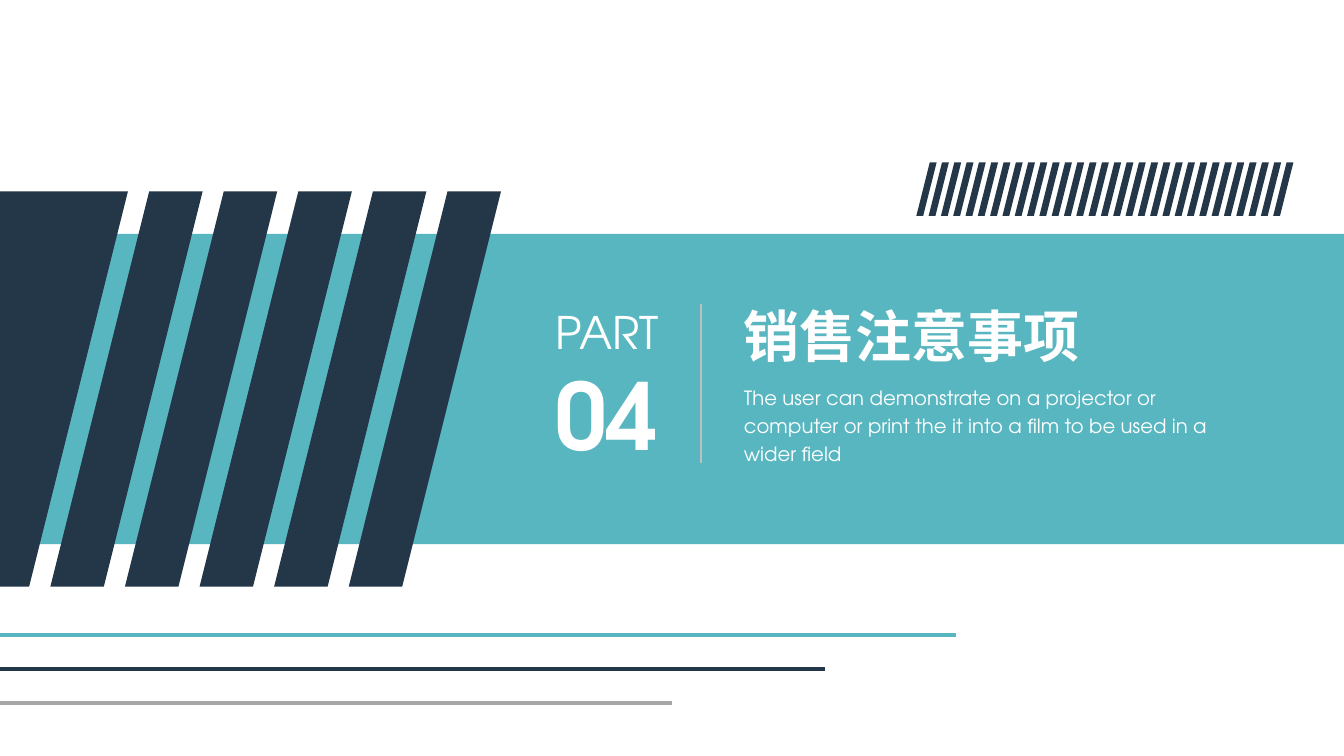
from lxml.etree import SubElement
from pptx import Presentation
from pptx.dml.color import RGBColor
from pptx.enum.shapes import MSO_CONNECTOR, MSO_SHAPE
from pptx.enum.text import MSO_ANCHOR, MSO_AUTO_SIZE, PP_ALIGN
from pptx.oxml.ns import qn
from pptx.util import Inches, Pt

TEAL = RGBColor(0x58, 0xB6, 0xC0)
NAVY = RGBColor(0x24, 0x37, 0x48)
GREY = RGBColor(0xA6, 0xA6, 0xA6)
LIGHT_GREY = RGBColor(0xBF, 0xBF, 0xBF)
WHITE = RGBColor(0xFF, 0xFF, 0xFF)
LATIN_FONT = "TeX Gyre Adventor"
CHINESE_FONT = "Noto Sans CJK SC"

deck = Presentation()
deck.slide_width, deck.slide_height = Inches(13.33), Inches(7.5)
slide = deck.slides.add_slide(deck.slide_layouts[0])
shapes = slide.shapes

# Grid of 100 columns by 100 rows
COL = deck.slide_width / 100
ROW = deck.slide_height / 100


def add_slanted_bar(left, top, width, height, slant):
    """Draw a navy bar leaning right; left is its bottom left corner."""
    outline = shapes.build_freeform(
        round((left + slant) * COL), round(top * ROW))
    outline.add_line_segments([
        (round(x * COL), round(y * ROW)) for x, y in (
            (left + slant + width, top),
            (left + width, top + height),
            (left, top + height))], close=True)
    bar = outline.convert_to_shape()
    bar.shadow.inherit = False
    bar.fill.solid()
    bar.fill.fore_color.rgb = NAVY
    bar.line.fill.background()


def add_rule(start, end, color, weight):
    (x1, y1), (x2, y2) = start, end
    rule = shapes.add_connector(
        MSO_CONNECTOR.STRAIGHT, round(x1 * COL), round(y1 * ROW),
        round(x2 * COL), round(y2 * ROW))
    rule.line.color.rgb = color
    rule.line.width = Pt(weight)
    SubElement(rule.element.spPr, qn("a:effectLst"))


# Teal band across the slide
band = shapes.add_shape(MSO_SHAPE.RECTANGLE, 0, round(30.93 * ROW),
                        deck.slide_width, round(41.07 * ROW))
band.shadow.inherit = False
band.fill.solid()
band.fill.fore_color.rgb = TEAL
band.line.fill.background()

# Large stripes and the wide block at the left edge
for stripe in range(5):
    add_slanted_bar(3.75 + stripe * 5.55, 25.33, 3.98, 52.27, 7.35)
add_slanted_bar(-8.48, 25.33, 10.65, 52.27, 7.35)

# Rules at the bottom
for step, (length, color) in enumerate(
        [(71.15, TEAL), (61.35, NAVY), (50, GREY)]):
    row = 84 + step * 4.5
    add_rule((0, row), (length, row), color, 2.25)

# Small hatching at the top right
HATCHES = 30
hatch_pitch = (94.73 - 68.18) / (HATCHES - 1)
for hatch in range(HATCHES):
    add_slanted_bar(68.18 + hatch * hatch_pitch, 21.47, 0.51, 7.07, 1)

# Divider between part number and title
add_rule((52.13, 40.27), (52.13, 61.2), LIGHT_GREY, 1.5)

# Texts: holder, box on the grid, wrap, alignment, line spacing, lines
part_number = shapes.add_textbox(0, 0, 0, 0)
title, description = slide.placeholders
texts = [
    (part_number, (40.43, 39.6, 9.45, 23.33), False, PP_ALIGN.CENTER, 1, [
        ("PART", {"name": LATIN_FONT, "size": Pt(32), "bold": False}),
        ("04", {"name": LATIN_FONT, "size": Pt(66), "bold": True})]),
    (title, (54.6, 39.2, 26.78, 10.27), False, PP_ALIGN.LEFT, 1, [
        ("销售注意事项",
         {"name": CHINESE_FONT, "size": Pt(40), "bold": True})]),
    (description, (54.6, 49.73, 39.23, 12.67), True, PP_ALIGN.LEFT, 1.2, [
        ("The user can demonstrate on a projector or computer or print "
         "the it into a film to be used in a wider field",
         {"name": LATIN_FONT, "size": Pt(14), "bold": False})]),
]
for holder, (left, top, width, height), wrap, align, spacing, lines in texts:
    # Bring the text in front of the band
    holder.element.getparent().append(holder.element)
    holder.left, holder.top = round(left * COL), round(top * ROW)
    holder.width, holder.height = round(width * COL), round(height * ROW)
    frame = holder.text_frame
    frame.word_wrap = wrap
    frame.auto_size = MSO_AUTO_SIZE.SHAPE_TO_FIT_TEXT
    frame.vertical_anchor = MSO_ANCHOR.TOP
    frame.text = "\n".join(line for line, _ in lines)
    for paragraph, (_, font_format) in zip(frame.paragraphs, lines):
        paragraph.alignment = align
        paragraph.line_spacing = spacing
        paragraph.space_before = Pt(0)
        run = paragraph.runs[0]
        for attribute, value in font_format.items():
            setattr(run.font, attribute, value)
        run.font.color.rgb = WHITE
        SubElement(run.font._element, qn("a:ea"),
                   typeface=font_format["name"])

deck.save("out.pptx")
